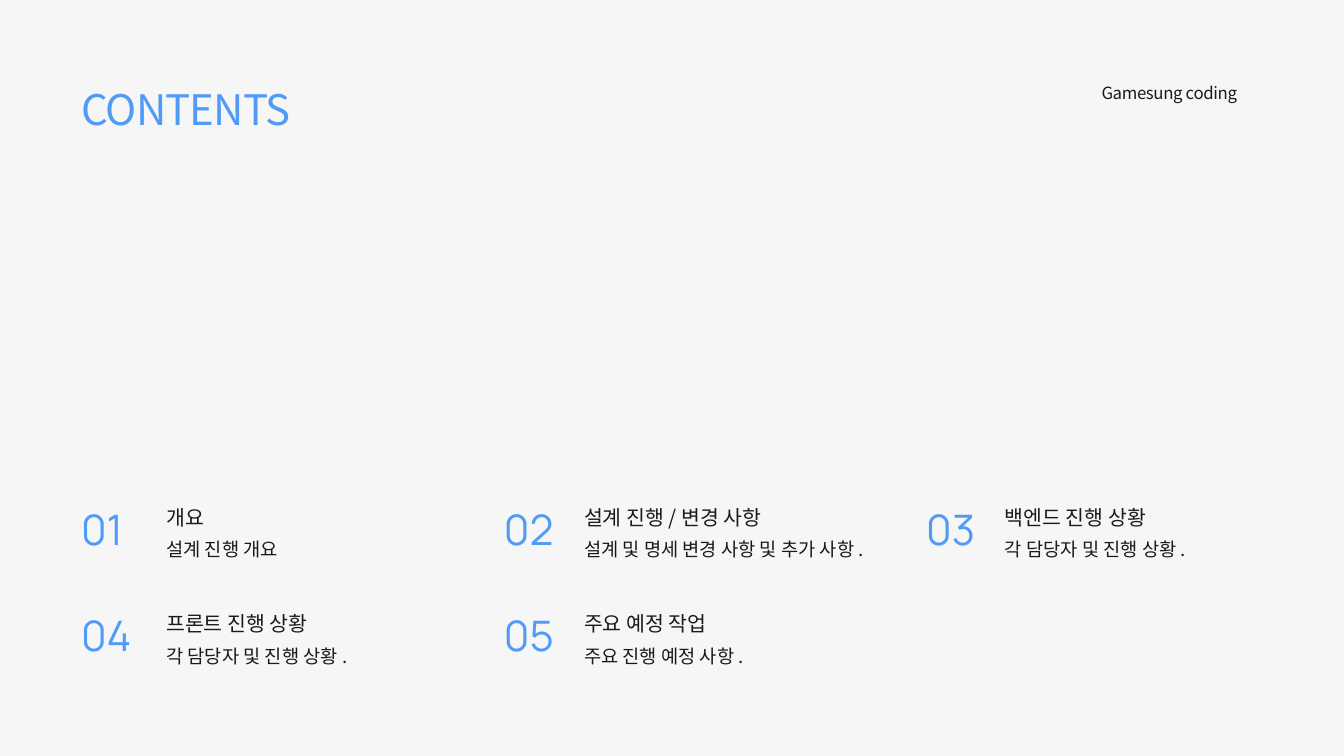
import pptx
import pptx.util
import pptx.dml.color
import pptx.enum.text

theme = {
    "paper": "F6F6F6", "accent": "509BF8", "ink": "1A1A1A",
    "latin": "Noto Sans CJK KR", "korean": "Calibri", "digits": "Manrope",
    "display": 60, "heading": 29.3, "body": 26.7, "label": 24,
}
inch = pptx.util.Inches


def color(name):
    return pptx.dml.color.RGBColor.from_string(theme[name])


def write(paragraph, pieces, size, ink, line_spacing, tracking=0):
    """Add (text, font) pieces to a paragraph in one size and colour."""
    paragraph.line_spacing = line_spacing
    for text, face in pieces:
        run = paragraph.add_run()
        run.text = text
        for key, value in {"name": theme[face], "size": pptx.util.Pt(theme[size])}.items():
            setattr(run.font, key, value)
        run.font.color.rgb = color(ink)
        if tracking:
            run.font._element.set("spc", str(tracking))


deck = pptx.Presentation()
deck.slide_width, deck.slide_height = inch(26.67), inch(15)
slide = deck.slides.add_slide(deck.slide_layouts[6])
slide.background.fill.solid()
slide.background.fill.fore_color.rgb = color("paper")

# Title and team name
headers = [
    ("CONTENTS", (1.61, 1.58, 5.04, 1.17), (0, 0.08, 0, 0), "display", "accent", 1.0, -120),
    ("Gamesung coding", (21.76, 1.53, 3.51, 0.47), (0.1, 0.05, 0.1, 0.05), "label", "ink", 1.16, -50),
]
for text, place, insets, size, ink, spacing, tracking in headers:
    frame = slide.shapes.add_textbox(*map(inch, place)).text_frame
    frame.word_wrap = True
    for side, inset in zip(("left", "top", "right", "bottom"), insets):
        setattr(frame, f"margin_{side}", inch(inset))
    write(frame.paragraphs[0], [(text, "latin")], size, ink, spacing, tracking)

# Agenda: number and topic pairs, three to a row
agenda = [
    ([("개요", "korean")], [("설계 진행 개요", "korean")]),
    ([("설계 진행 ", "korean"), ("/ ", "latin"), ("변경 사항", "korean")],
     [("설계 및 명세 변경 사항 및 추가 사항 ", "korean"), (".", "latin")]),
    ([("백엔드 진행 상황", "korean")], [("각 담당자 및 진행 상황 ", "korean"), (".", "latin")]),
    ([("프론트 진행 상황", "korean")], [("각 담당자 및 진행 상황 ", "korean"), (".", "latin")]),
    ([("주요 예정 작업", "korean")], [("주요 진행 예정 사항 ", "korean"), (".", "latin")]),
]
column_widths = [1.69, 6.7, 1.59, 6.79, 1.56, 5.77]
row_heights = [2.39, 1.83]
contents = slide.shapes.add_table(
    len(row_heights), len(column_widths), inch(1.54), inch(9.31),
    inch(sum(column_widths)), inch(sum(row_heights))).table
contents.first_row = contents.horz_banding = False
for column, width in zip(contents.columns, column_widths):
    column.width = inch(width)
for row, height in zip(contents.rows, row_heights):
    row.height = inch(height)

cell_format = {
    "vertical_anchor": pptx.enum.text.MSO_ANCHOR.MIDDLE,
    "margin_left": inch(0.07), "margin_right": inch(0.07),
}
for cell in contents.iter_cells():
    cell.fill.background()
    for key, value in cell_format.items():
        setattr(cell, key, value)
    # Clear the borders that the table style draws
    for edge in ("lnL", "lnR", "lnT", "lnB"):
        border = pptx.oxml.parse_xml(
            f'<a:{edge} xmlns:a="http://schemas.openxmlformats.org/drawingml/2006/main" w="0">'
            f"<a:noFill/></a:{edge}>")
        cell._tc.tcPr.insert(("lnL", "lnR", "lnT", "lnB").index(edge), border)

for index, (heading, detail) in enumerate(agenda):
    row, pair = divmod(index, 3)
    number = contents.cell(row, 2 * pair).text_frame
    write(number.paragraphs[0], [(f"{index + 1:02}", "digits")], "display", "accent", 0.92)
    topic = contents.cell(row, 2 * pair + 1).text_frame
    write(topic.paragraphs[0], heading, "heading", "ink", 1.16)
    write(topic.add_paragraph(), detail, "body", "ink", 1.16)

deck.save("out.pptx")
